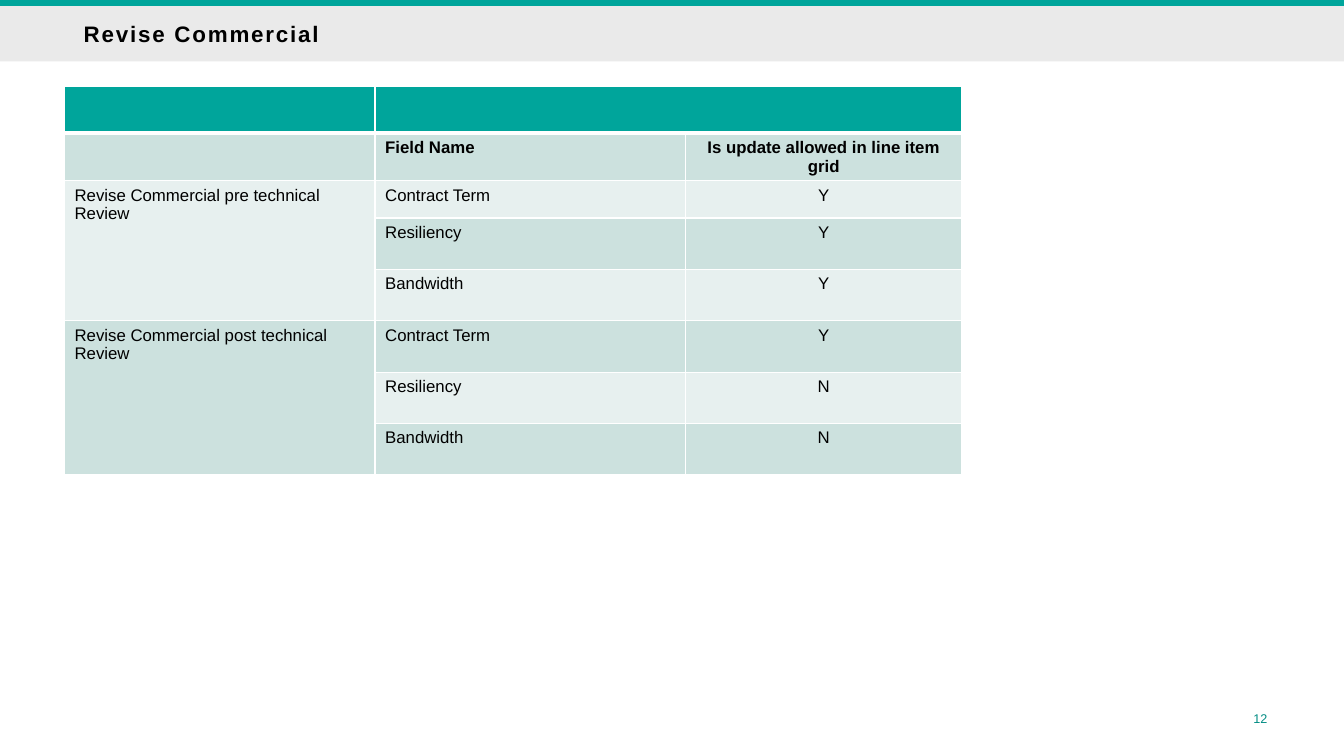
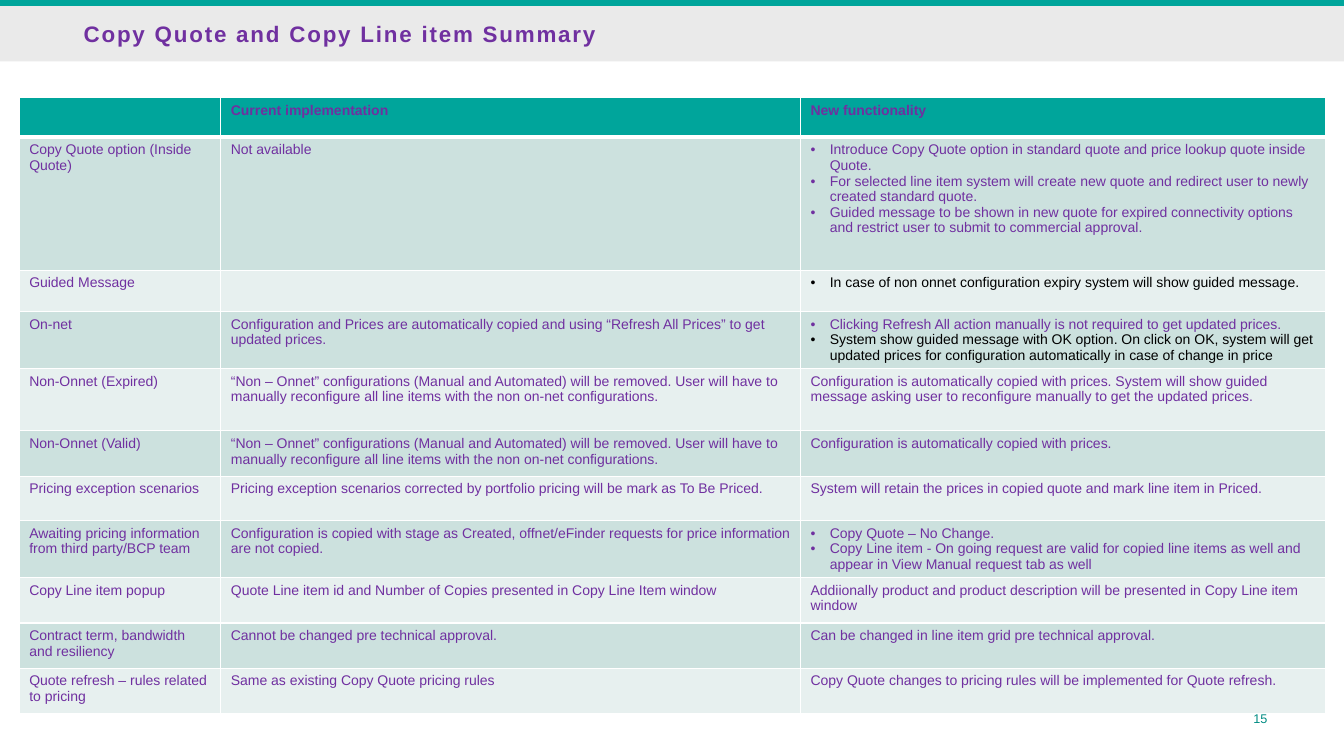
from collections import namedtuple
from dataclasses import dataclass

from lxml.etree import SubElement
from pptx import Presentation
from pptx.dml.color import RGBColor
from pptx.enum.shapes import MSO_SHAPE
from pptx.enum.text import MSO_ANCHOR, MSO_AUTO_SIZE, PP_ALIGN
from pptx.oxml.ns import qn
from pptx.util import Inches, Pt


@dataclass(frozen=True)
class Theme:
    font: str = "Arial"
    teal: str = "00A59B"
    page_teal: str = "008C83"
    title_band: str = "E9E9E9"
    band_dark: str = "CCE1DE"
    band_light: str = "E7F0EF"
    black: str = "000000"
    purple: str = "7030A0"
    white: str = "FFFFFF"
    title_size: float = 16
    revise_size: float = 12
    summary_size: float = 10
    page_size: float = 9
    border: float = 1
    header_border: float = 3


THEME = Theme()
WIDTH = 13.33
BAR_HEIGHT = 0.06
LEFT, CENTER, RIGHT = PP_ALIGN.LEFT, PP_ALIGN.CENTER, PP_ALIGN.RIGHT
Bullet = namedtuple("Bullet", "text color", defaults=[THEME.purple])

# A None cell is covered by a merged neighbour
REVISE_ROWS = [
    ["", "", None],
    ["", "Field Name", "Is update allowed in line item grid"],
    ["Revise Commercial pre technical Review", "Contract Term", "Y"],
    [None, "Resiliency", "Y"],
    [None, "Bandwidth", "Y"],
    ["Revise Commercial post technical Review", "Contract Term", "Y"],
    [None, "Resiliency", "N"],
    [None, "Bandwidth", "N"],
]

NON_ONNET_NOW = (
    "“Non – Onnet” configurations (Manual and Automated) will be removed. "
    "User will have to manually reconfigure all line items with the non on-net configurations."
)

COPY_ROWS = [
    ["", "Current implementation", "New functionality"],
    ["Copy Quote option (Inside Quote)", "Not available", [
        Bullet("Introduce Copy Quote option in standard quote and price lookup "
               "quote inside Quote."),
        Bullet("For selected line item system will create new quote and redirect "
               "user to newly created standard quote."),
        Bullet("Guided message to be shown in new quote for expired connectivity "
               "options and restrict user to submit to commercial approval."),
    ]],
    ["Guided Message", "", [
        Bullet("In case of non onnet configuration expiry system will show guided message.",
               THEME.black),
    ]],
    ["On-net",
     "Configuration and Prices are automatically copied and using "
     "“Refresh All Prices” to get updated prices.", [
         Bullet("Clicking Refresh All action manually is not required to get updated prices."),
         Bullet("System show guided message with OK option. On click on OK, system will "
                "get updated prices for configuration automatically in case of change in price",
                THEME.black),
     ]],
    ["Non-Onnet (Expired)", NON_ONNET_NOW,
     "Configuration is automatically copied with prices. System will show guided "
     "message asking user to reconfigure manually to get the updated prices."],
    ["Non-Onnet (Valid)", NON_ONNET_NOW,
     "Configuration is automatically copied with prices."],
    ["Pricing exception scenarios",
     "Pricing exception scenarios corrected by portfolio pricing will be mark as To Be Priced.",
     "System will retain the prices in copied quote and mark line item in Priced."],
    ["Awaiting pricing information from third party/BCP team",
     "Configuration is copied with stage as Created, offnet/eFinder requests for "
     "price information are not copied.", [
         Bullet("Copy Quote – No Change."),
         Bullet("Copy Line item - On going request are valid for copied line items "
                "as well and appear in View Manual request tab as well"),
     ]],
    ["Copy Line item popup",
     "Quote Line item id and Number of Copies presented in Copy Line Item window",
     "Addiionally product and product description will be presented in Copy Line item window"],
    ["Contract term, bandwidth and resiliency",
     "Cannot be changed pre technical approval.",
     "Can be changed in line item grid pre technical approval."],
    ["Quote refresh – rules related to pricing",
     "Same as existing Copy Quote pricing rules",
     "Copy Quote changes to pricing rules will be implemented for Quote refresh."],
]


def rgb(color):
    return RGBColor.from_string(color)


def format_paragraph(p, size, color, bold=False, align=LEFT):
    p.alignment = align
    for r in p.runs:
        r.font.name = THEME.font
        r.font.size = Pt(size)
        r.font.bold = bold
        r.font.color.rgb = rgb(color)


def clear_frame(tf, left=0):
    """Set the insets and middle anchor used by the title and page number."""
    tf.word_wrap = True
    tf.auto_size = MSO_AUTO_SIZE.NONE
    tf.vertical_anchor = MSO_ANCHOR.MIDDLE
    tf.margin_left = Inches(left)
    tf.margin_right = tf.margin_top = tf.margin_bottom = 0


def add_page(prs, title, color):
    """Add a slide with the top bar and title band."""
    s = prs.slides.add_slide(prs.slide_layouts[5])

    # Top bar
    bar = s.shapes.add_shape(MSO_SHAPE.RECTANGLE, 0, 0, Inches(WIDTH), Inches(BAR_HEIGHT))
    bar.shadow.inherit = False
    bar.fill.solid()
    bar.fill.fore_color.rgb = rgb(THEME.teal)
    bar.line.fill.background()

    # Title band, slightly transparent
    sp = s.shapes.title
    sp.left, sp.top = 0, Inches(BAR_HEIGHT)
    sp.width, sp.height = Inches(WIDTH), Inches(0.55)
    sp.fill.solid()
    sp.fill.fore_color.rgb = rgb(THEME.title_band)
    band = next(sp.element.iter(qn("a:srgbClr")))
    SubElement(band, qn("a:alpha"), val="95000")
    tf = sp.text_frame
    tf.text = title
    clear_frame(tf, left=0.83)
    p = tf.paragraphs[0]
    format_paragraph(p, THEME.title_size, color, bold=True)
    p.runs[0].font._element.set("spc", "130")
    return s


def add_page_number(s, number):
    """Placed after the table, so that it stays in front."""
    tf = s.shapes.add_textbox(Inches(12.14), Inches(7.06), Inches(0.43), Inches(0.14)).text_frame
    tf.text = str(number)
    clear_frame(tf)
    format_paragraph(tf.paragraphs[0], THEME.page_size, THEME.page_teal, align=RIGHT)


def set_bullet(p):
    indent = Inches(0.19)
    pPr = p._p.get_or_add_pPr()
    pPr.set("marL", str(indent))
    pPr.set("indent", str(-indent))
    SubElement(pPr, qn("a:buFont"), typeface=THEME.font)
    SubElement(pPr, qn("a:buChar"), char="•")


def set_borders(cell, row):
    """White rules, with a heavier one between the header and the body."""
    heavy_side = {0: "B", 1: "T"}.get(row)
    tcPr = cell._tc.get_or_add_tcPr()
    for side in "LRTB":
        width = THEME.header_border if side == heavy_side else THEME.border
        ln = SubElement(tcPr, qn(f"a:ln{side}"), w=str(Pt(width)))
        fill = SubElement(ln, qn("a:solidFill"))
        SubElement(fill, qn("a:srgbClr"), val=THEME.white)


def fill_cell(cell, content, size, color, bold, align):
    """Write a plain string or a list of bullets."""
    tf = cell.text_frame
    if not content:
        # Keep an empty cell from stretching its row with the default size
        SubElement(tf.paragraphs[0]._p, qn("a:endParaRPr"), sz=str(size * 100))
    elif isinstance(content, str):
        tf.text = content
        format_paragraph(tf.paragraphs[0], size, color, bold, align)
    else:
        tf.text = "\n".join(item.text for item in content)
        for p, item in zip(tf.paragraphs, content):
            format_paragraph(p, size, item.color, bold, align)
            set_bullet(p)


def add_grid(s, left, top, widths, heights, rows, size, color, bold_row, aligns):
    frame = s.shapes.add_table(len(rows), len(widths), Inches(left), Inches(top),
                               Inches(sum(widths)), Inches(sum(heights)))
    table = frame.table
    table.first_row = table.horz_banding = False
    for column, width in zip(table.columns, widths):
        column.width = Inches(width)
    for row, height in zip(table.rows, heights):
        row.height = Inches(height)

    for i, row in enumerate(rows):
        band = THEME.band_dark if i % 2 else THEME.band_light
        for j, content in enumerate(row):
            cell = table.cell(i, j)
            set_borders(cell, i)
            cell.fill.solid()
            cell.fill.fore_color.rgb = rgb(band if i else THEME.teal)
            fill_cell(cell, content, size, color, i == bold_row, aligns[j])
    return table


def revise_commercial(prs):
    s = add_page(prs, "Revise Commercial", THEME.black)
    table = add_grid(s, 0.64, 0.86, [3.08, 3.08, 2.74],
                     [0.46, 0.46, 0.37] + [0.51] * 5, REVISE_ROWS,
                     size=THEME.revise_size, color=THEME.black, bold_row=1,
                     aligns=[LEFT, LEFT, CENTER])
    table.cell(0, 1).merge(table.cell(0, 2))
    for first in (2, 5):
        table.cell(first, 0).merge(table.cell(first + 2, 0))
    add_page_number(s, 12)


def copy_summary(prs):
    s = add_page(prs, "Copy Quote and Copy Line item Summary", THEME.purple)
    add_grid(s, 0.19, 0.97, [2, 5.75, 5.21],
             [0.39, 1.32, 0.41, 0.41, 0.62, 0.45, 0.44] + [0.45] * 4, COPY_ROWS,
             size=THEME.summary_size, color=THEME.purple, bold_row=0, aligns=[LEFT] * 3)
    add_page_number(s, 15)


def main():
    prs = Presentation()
    prs.slide_width, prs.slide_height = Inches(WIDTH), Inches(7.5)
    revise_commercial(prs)
    copy_summary(prs)
    prs.save("out.pptx")


if __name__ == "__main__":
    main()
